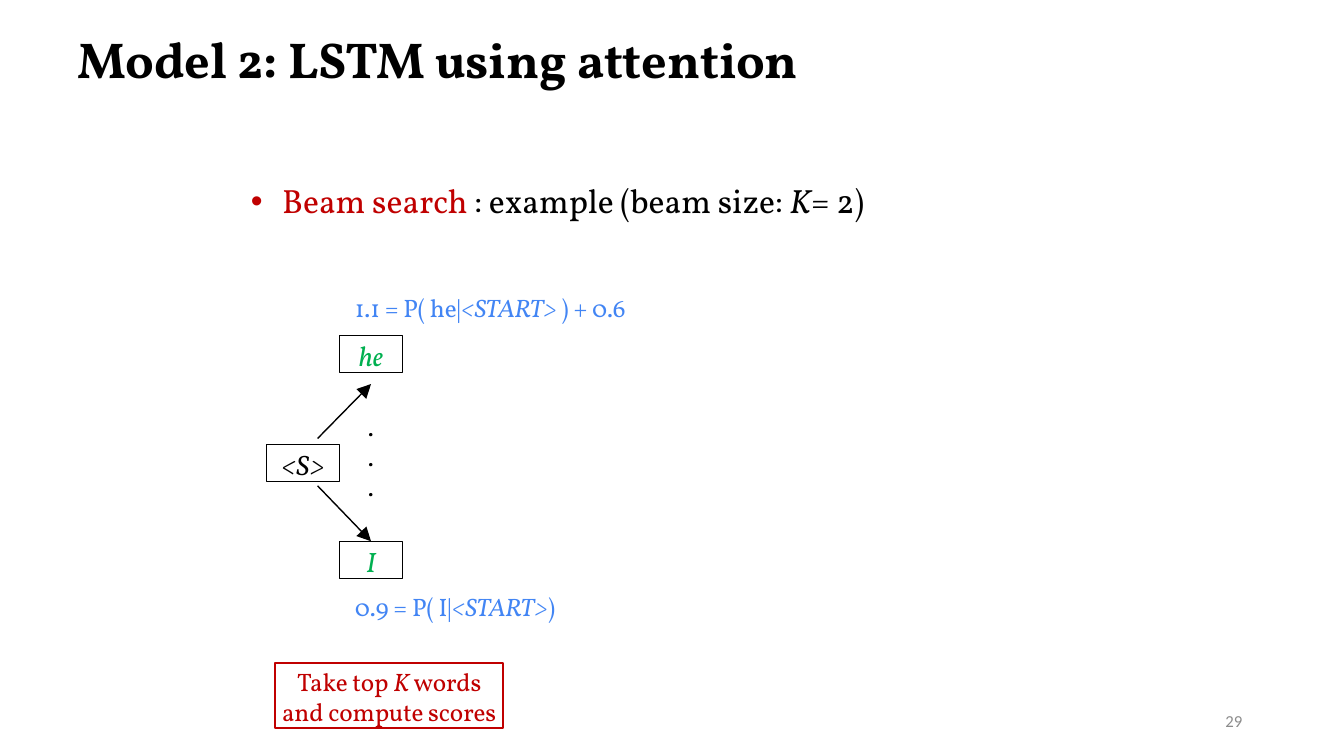
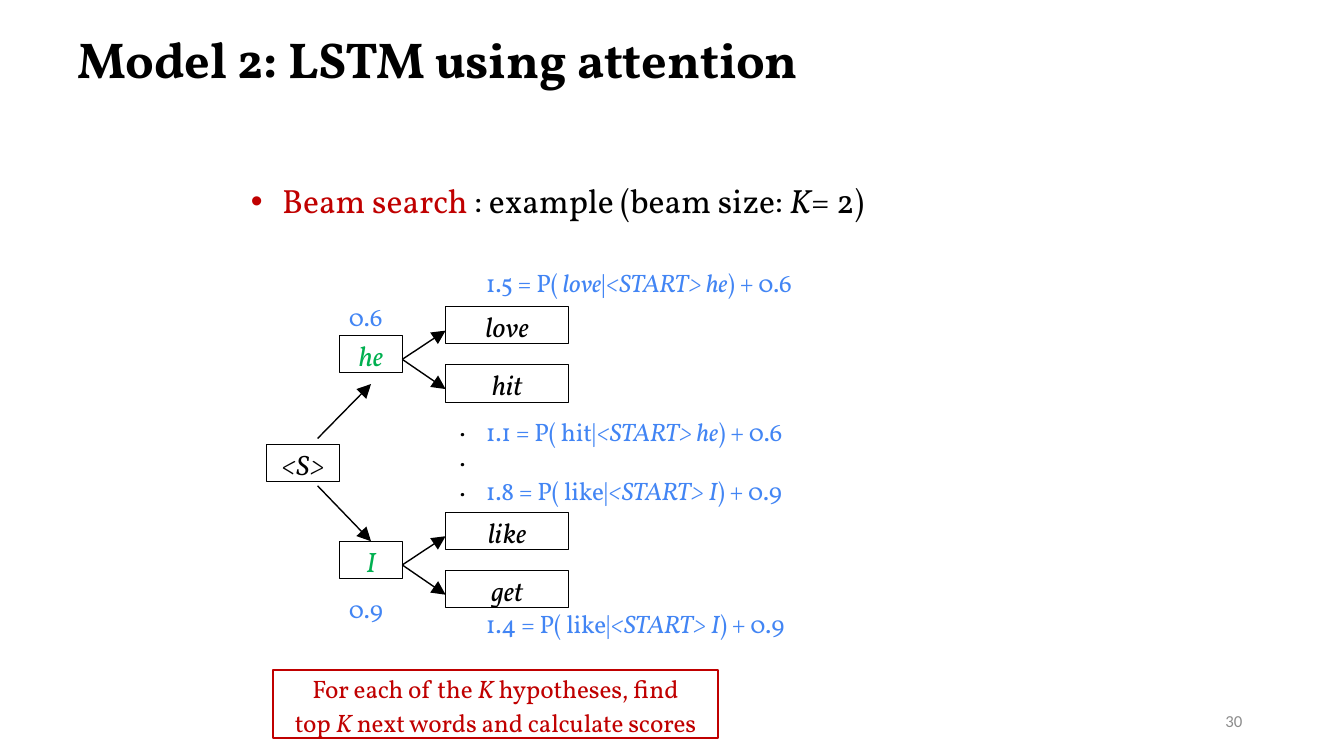
from dataclasses import dataclass

from lxml import etree
from pptx import Presentation
from pptx import util as u
from pptx.dml.color import RGBColor
from pptx.enum import shapes, text
from pptx.oxml.ns import qn


@dataclass(frozen=True)
class Theme:
    """Colours, type sizes in points, and the grid cell in inches."""
    ink: str = "000000"
    accent: str = "C00000"
    kept: str = "00B050"
    score: str = "4285F4"
    muted: str = "8C8C8C"
    font: str = "Vollkorn"
    number_font: str = "Calibri"
    title_size: int = 36
    lead_size: int = 24
    word_size: int = 20
    note_size: int = 18
    number_size: int = 12
    cell: float = 0.1
    box_line: float = 0.72
    note_line: float = 1.56


THEME = Theme()
CENTER = text.PP_ALIGN.CENTER

# Positions in grid columns and rows
WORD_HEIGHT = 3.7
FIRST_LEFT, FIRST_WIDTH = 33.7, 6.2
NEXT_LEFT, NEXT_WIDTH = 44.2, 12.2
FIRST_WORDS = {"he": 33.3, "I": 53.7}
NEXT_WORDS = {"he": ("love", "hit"), "I": ("like", "get")}
SCORE_WIDTH, SCORE_HEIGHT = 37.6, 3.3


def write(paragraph, content, *, size, color=THEME.ink, font=THEME.font,
          bold=False, spacing=0):
    """Add runs to a paragraph; words between asterisks are italic."""
    for index, part in enumerate(content.split("*")):
        if not part:
            continue
        run = paragraph.add_run()
        run.text = part
        run.font.name, run.font.size = font, u.Pt(size)
        run.font.bold, run.font.italic = bold, index % 2 == 1
        run.font.color.rgb = RGBColor.from_string(color)
        if spacing:
            run.font._element.set("spc", str(round(spacing * 100)))


class Deck:
    def __init__(self, theme):
        self.theme = theme
        self.presentation = Presentation()
        self.presentation.slide_width = u.Inches(13.33)
        self.presentation.slide_height = u.Inches(7.5)
        self.slide = None

    def cells(self, *counts):
        return [u.Inches(count * self.theme.cell) for count in counts]

    def new_slide(self):
        layout = self.presentation.slide_layouts[6]
        self.slide = self.presentation.slides.add_slide(layout)

    def fill_frame(self, shape, lines, *, align=None, insets=None,
                   anchor=text.MSO_ANCHOR.TOP, gap=0, **style):
        frame = shape.text_frame
        frame.word_wrap = True
        frame.auto_size = text.MSO_AUTO_SIZE.SHAPE_TO_FIT_TEXT
        frame.vertical_anchor = anchor
        if insets is not None:
            frame.margin_left = frame.margin_right = frame.margin_bottom = 0
            frame.margin_top = u.Inches(insets)
        for index, line in enumerate(lines):
            paragraph = frame.add_paragraph() if index else frame.paragraphs[0]
            paragraph.alignment = align
            if index and gap:
                paragraph.space_before = u.Pt(gap)
            write(paragraph, line, **style)

    def label(self, place, *lines, **style):
        shape = self.slide.shapes.add_textbox(*self.cells(*place))
        self.fill_frame(shape, lines, **style)
        return shape

    def box(self, place, *lines, line_color, line_width, **style):
        shape = self.slide.shapes.add_shape(
            shapes.MSO_SHAPE.RECTANGLE, *self.cells(*place))
        shape.shadow.inherit = False
        shape.fill.background()
        shape.line.color.rgb = RGBColor.from_string(line_color)
        shape.line.width = u.Pt(line_width)
        self.fill_frame(shape, lines, align=CENTER, insets=0.03, **style)
        return shape

    def word(self, left, top, width, content, color=THEME.ink):
        return self.box((left, top, width, WORD_HEIGHT), f"*{content}*",
                        size=self.theme.word_size, color=color,
                        line_color=self.theme.ink,
                        line_width=self.theme.box_line)

    def note(self, place, *lines):
        self.box(place, *lines, size=self.theme.note_size, gap=2.4,
                 color=self.theme.accent, spacing=-0.1,
                 line_color=self.theme.accent,
                 line_width=self.theme.note_line)

    def score(self, left, top, content, width=SCORE_WIDTH, spacing=-0.1):
        self.label((left, top, width, SCORE_HEIGHT), content, insets=0.01,
                   size=self.theme.note_size, color=self.theme.score,
                   spacing=spacing)

    def dots(self, left):
        self.label((left, 40.3, 2.7, 10.1), *"...", size=self.theme.note_size)

    def arrow(self, start, end):
        connector = self.slide.shapes.add_connector(
            shapes.MSO_CONNECTOR.STRAIGHT, *self.cells(*start, *end))
        connector.line.color.rgb = RGBColor.from_string(self.theme.ink)
        connector.line.width = u.Pt(1)
        line = connector.line._get_or_add_ln()
        etree.SubElement(line, qn("a:tailEnd"), type="triangle",
                         w="lg", len="lg")
        etree.SubElement(connector._element.spPr, qn("a:effectLst"))
        return connector

    def heading(self, number):
        theme = self.theme
        self.label((6.7, 2.3, 80.4, 7.1), "Model 2: LSTM using attention",
                   size=theme.title_size, bold=True)
        lead = self.label((23.9, 17.4, 64.9, 5))
        paragraph = lead.text_frame.paragraphs[0]
        properties = paragraph._element.get_or_add_pPr()
        indent = u.Inches(0.31)
        properties.set("marL", str(indent))
        properties.set("indent", str(-indent))
        etree.SubElement(properties, qn("a:buFont"), typeface="Arial")
        etree.SubElement(properties, qn("a:buChar"), char="•")
        write(paragraph, "Beam search ", size=theme.lead_size,
              color=theme.accent)
        write(paragraph, ": example (beam size: *K*= 2)",
              size=theme.lead_size)
        self.label((94.2, 69.5, 30, 4), str(number), size=theme.number_size,
                   color=theme.muted, font=theme.number_font,
                   align=text.PP_ALIGN.RIGHT, anchor=text.MSO_ANCHOR.MIDDLE)

    def first_step(self):
        """Start symbol and the two words kept after it."""
        self.word(26.4, 44.1, 7.3, "<S>")
        kept = {content: self.word(FIRST_LEFT, top, FIRST_WIDTH, content,
                                   self.theme.kept)
                for content, top in FIRST_WORDS.items()}
        middle = FIRST_LEFT + FIRST_WIDTH / 2
        self.arrow((31.5, 43.5), (middle, 38.1))
        self.arrow((31.5, 48.2), (middle, 53.7)).end_connect(kept["I"], 0)

    def next_step(self):
        """Two following words for each kept word."""
        for parent, top in FIRST_WORDS.items():
            start = (FIRST_LEFT + FIRST_WIDTH, top + 2.35)
            for index, content in enumerate(NEXT_WORDS[parent]):
                child_top = top - 2.9 + index * 5.8
                self.word(NEXT_LEFT, child_top, NEXT_WIDTH, content)
                self.arrow(start, (NEXT_LEFT, child_top + 2.4))


def main():
    deck = Deck(THEME)

    # First words and their scores
    deck.new_slide()
    deck.heading(29)
    deck.first_step()
    deck.dots(35.5)
    deck.score(35.2, 28.9, "1.1 = P( he|*<START> *) + 0.6")
    deck.score(35.2, 58.6, "0.9 = P( I|*<START>*)")
    deck.note((27.3, 65.8, 22.6, 6.4), "Take top *K* words and compute scores")

    # Next words for each hypothesis
    deck.new_slide()
    deck.heading(30)
    deck.first_step()
    deck.next_step()
    deck.dots(44.6)
    for top, content in ((29.8, "0.6"), (58.8, "0.9")):
        deck.score(34.6, top, content, width=4.2, spacing=0)
    for top, content in (
            (26.4, "1.5 = P( *love*|*<START> he*) + 0.6"),
            (41.2, "1.1 = P( hit|*<START> he*) + 0.6"),
            (47.1, "1.8 = P( like|*<START> I*) + 0.9"),
            (60.3, "1.4 = P( like|*<START> I*) + 0.9")):
        deck.score(48.2, top, content)
    deck.note((27.1, 66.5, 44.1, 6.7), "For each of the *K* hypotheses, find",
              "top *K* next words and calculate scores")

    deck.presentation.save("out.pptx")


if __name__ == "__main__":
    main()
